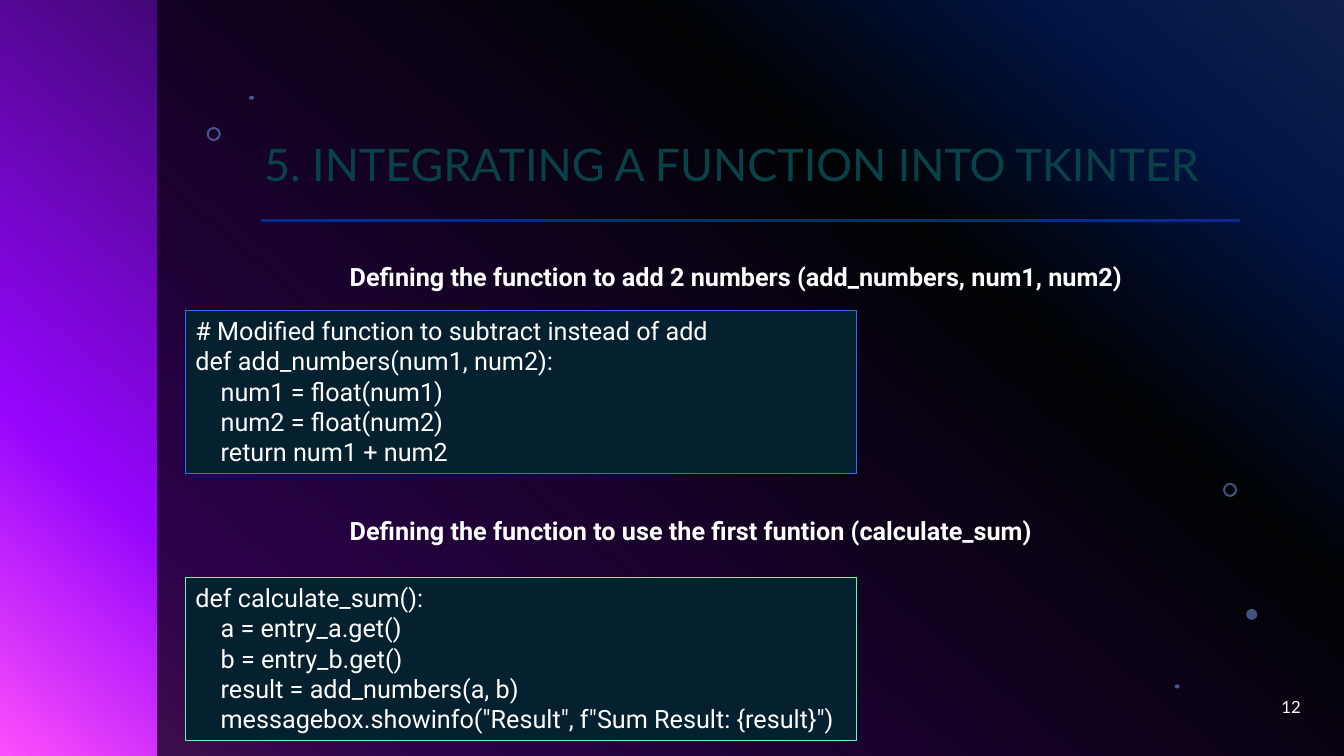
"""Build the slide on integrating a function into Tkinter."""
from lxml.etree import SubElement
from pptx import Presentation
from pptx.dml.color import RGBColor
from pptx.enum.shapes import MSO_CONNECTOR, MSO_SHAPE
from pptx.enum.text import MSO_ANCHOR, MSO_AUTO_SIZE, PP_ALIGN
from pptx.oxml.ns import qn
from pptx.util import Inches, Pt


def paint(fill, color, alpha=None):
    fill.solid()
    fill.fore_color.rgb = RGBColor.from_string(color)
    if alpha is not None:
        tint = fill._xPr.find(".//" + qn("a:srgbClr"))
        SubElement(tint, qn("a:alpha"), val=str(alpha * 1000))


def write(shape, text, size=18, color="FFFFFF", font="Roboto", bold=False,
          align=PP_ALIGN.LEFT, anchor=MSO_ANCHOR.TOP, space=1.0):
    frame = shape.text_frame
    frame.word_wrap = True
    frame.auto_size = MSO_AUTO_SIZE.NONE
    frame.vertical_anchor = anchor
    for i, row in enumerate(text.split("\n")):
        para = frame.paragraphs[0] if i == 0 else frame.add_paragraph()
        para.alignment = align
        para.line_spacing = space
        if row.startswith("    "):
            para._p.get_or_add_pPr().set("marL", str(Inches(0.25)))
        run = para.add_run()
        run.text = row.strip()
        run.font.name = font
        run.font.size = Pt(size)
        run.font.bold = bold
        paint(run.font.fill, color)


deck = Presentation()
deck.slide_width = Inches(13.33)
deck.slide_height = Inches(7.5)
slide = deck.slides.add_slide(deck.slide_layouts[5])
shapes = slide.shapes

back = slide.background.fill
back.gradient()
back.gradient_angle = 230
stops = slide._element.find(".//" + qn("a:gsLst"))
for stop in list(stops):
    stops.remove(stop)
for pos, color in [(0, "316CFC"), (14, "0343DF"), (31, "02090E"),
                   (81, "9405FC"), (100, "FC4EFB")]:
    stop = SubElement(stops, qn("a:gs"), pos=str(pos * 1000))
    SubElement(stop, qn("a:srgbClr"), val=color)

veil = shapes.add_shape(MSO_SHAPE.RECTANGLE, Inches(1.56), Inches(-0.01),
                        Inches(11.77), Inches(7.51))
veil.shadow.inherit = False
veil.line.fill.background()
paint(veil.fill, "000000", 70)

ring, dot = MSO_SHAPE.DONUT, MSO_SHAPE.OVAL
for kind, left, top, wide, high in [
        (ring, 12.13, 4.79, 0.14, 0.14), (dot, 12.36, 6.04, 0.11, 0.11),
        (dot, 11.65, 6.79, 0.05, 0.04), (ring, 2.05, 1.26, 0.14, 0.14),
        (dot, 2.47, 0.95, 0.05, 0.04)]:
    mark = shapes.add_shape(kind, Inches(left), Inches(top),
                            Inches(wide), Inches(high))
    mark.shadow.inherit = False
    mark.line.fill.background()
    paint(mark.fill, "83A7FD", 49)
    if kind == ring:
        mark.adjustments[0] = 0.15

rule = shapes.add_connector(MSO_CONNECTOR.STRAIGHT, Inches(2.59), Inches(2.19),
                            Inches(12.3), Inches(2.19))
rule.line.width = Pt(2)
paint(rule.line.fill, "042C8F")
SubElement(rule._element.spPr, qn("a:effectLst"))

title = shapes.title
title.left, title.top = Inches(2.62), Inches(0.18)
title.width, title.height = Inches(9.67), Inches(1.77)
title.text_frame.margin_left = 0
write(title, "5. INTEGRATING A FUNCTION INTO TKINTER", size=32, color="1CDFF5",
      font="Lato", anchor=MSO_ANCHOR.BOTTOM, space=0.9)

number = shapes.add_textbox(Inches(10), Inches(6.81), Inches(3), Inches(0.4))
write(number, "12", size=12, font="Lato", align=PP_ALIGN.RIGHT,
      anchor=MSO_ANCHOR.MIDDLE)

add = """# Modified function to subtract instead of add
def add_numbers(num1, num2):
    num1 = float(num1)
    num2 = float(num2)
    return num1 + num2"""
total = """def calculate_sum():
    a = entry_a.get()
    b = entry_b.get()
    result = add_numbers(a, b)
    messagebox.showinfo("Result", f"Sum Result: {result}")"""

for head, high, code, top, edge in [
        ("Defining the function to add 2 numbers (add_numbers, num1, num2)",
         2.54, add, 3.08, "316CFC"),
        ("Defining the function to use the first funtion (calculate_sum)",
         5.06, total, 5.73, "5EFCAC")]:
    label = shapes.add_textbox(Inches(3.37), Inches(high),
                               Inches(8.28), Inches(0.4))
    write(label, head, bold=True)
    box = shapes.add_shape(MSO_SHAPE.RECTANGLE, Inches(1.84), Inches(top),
                           Inches(6.66), Inches(1.62))
    box.shadow.inherit = False
    box.line.width = Pt(0.75)
    paint(box.line.fill, edge)
    paint(box.fill, "05202E")
    write(box, code)

deck.save("out.pptx")
